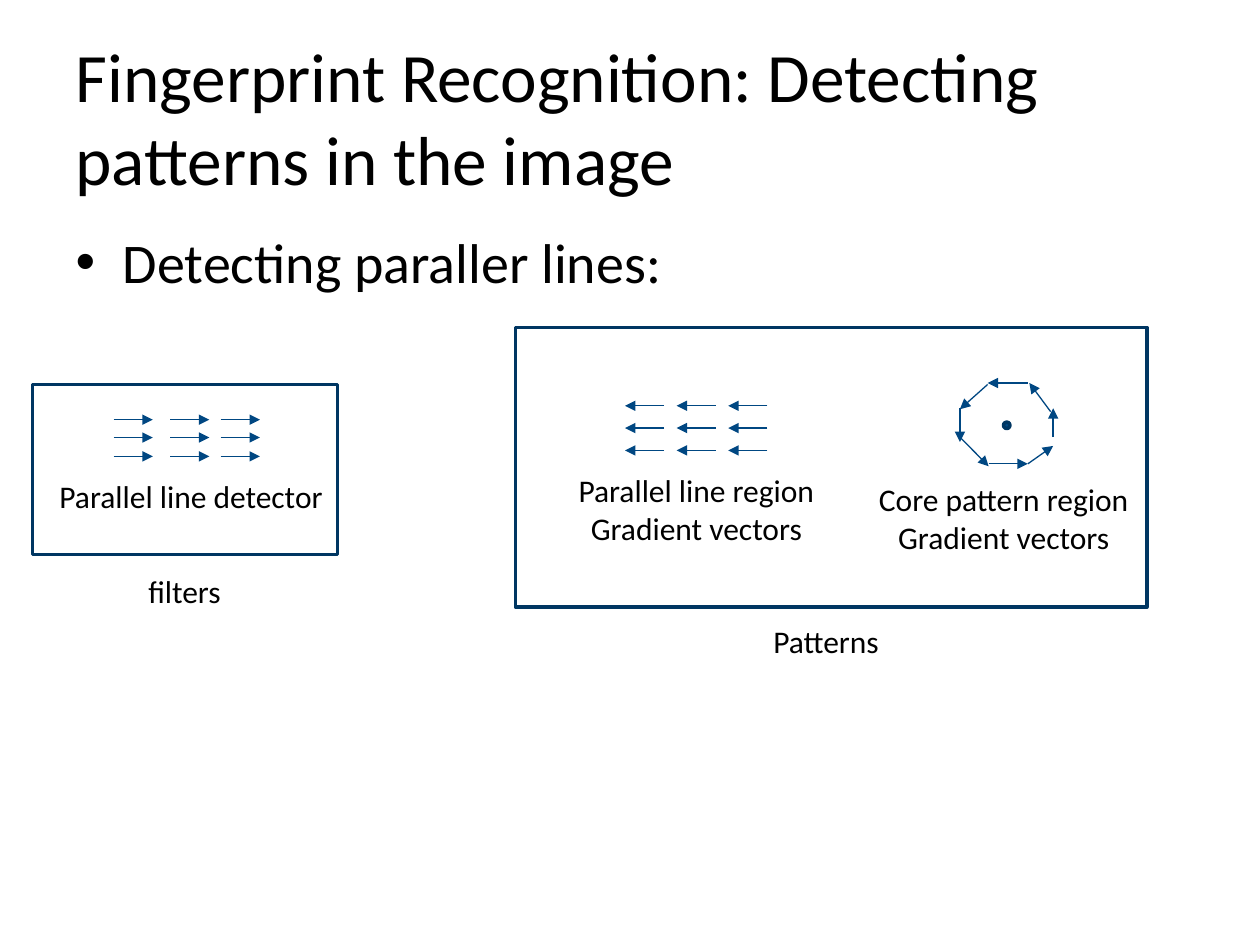
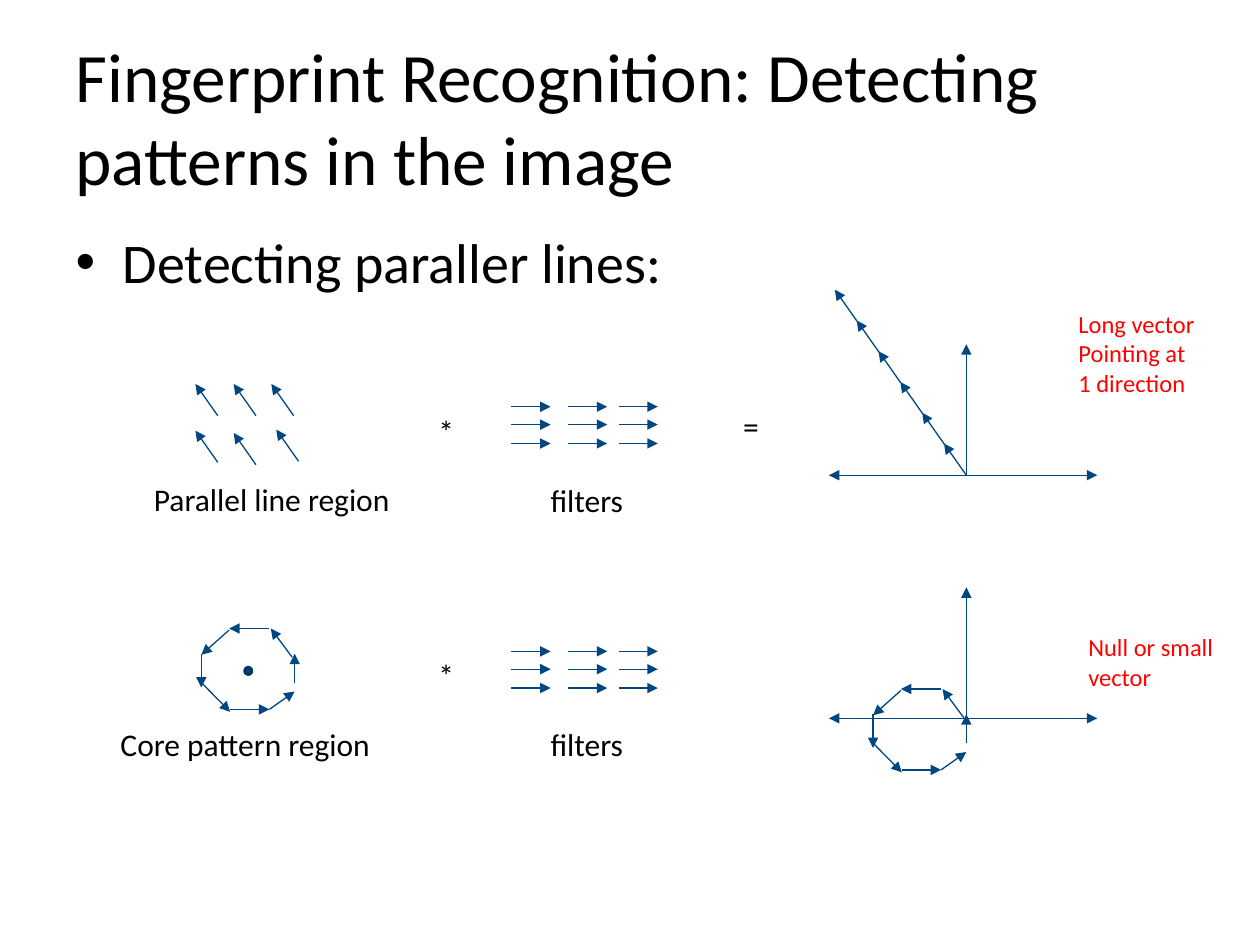
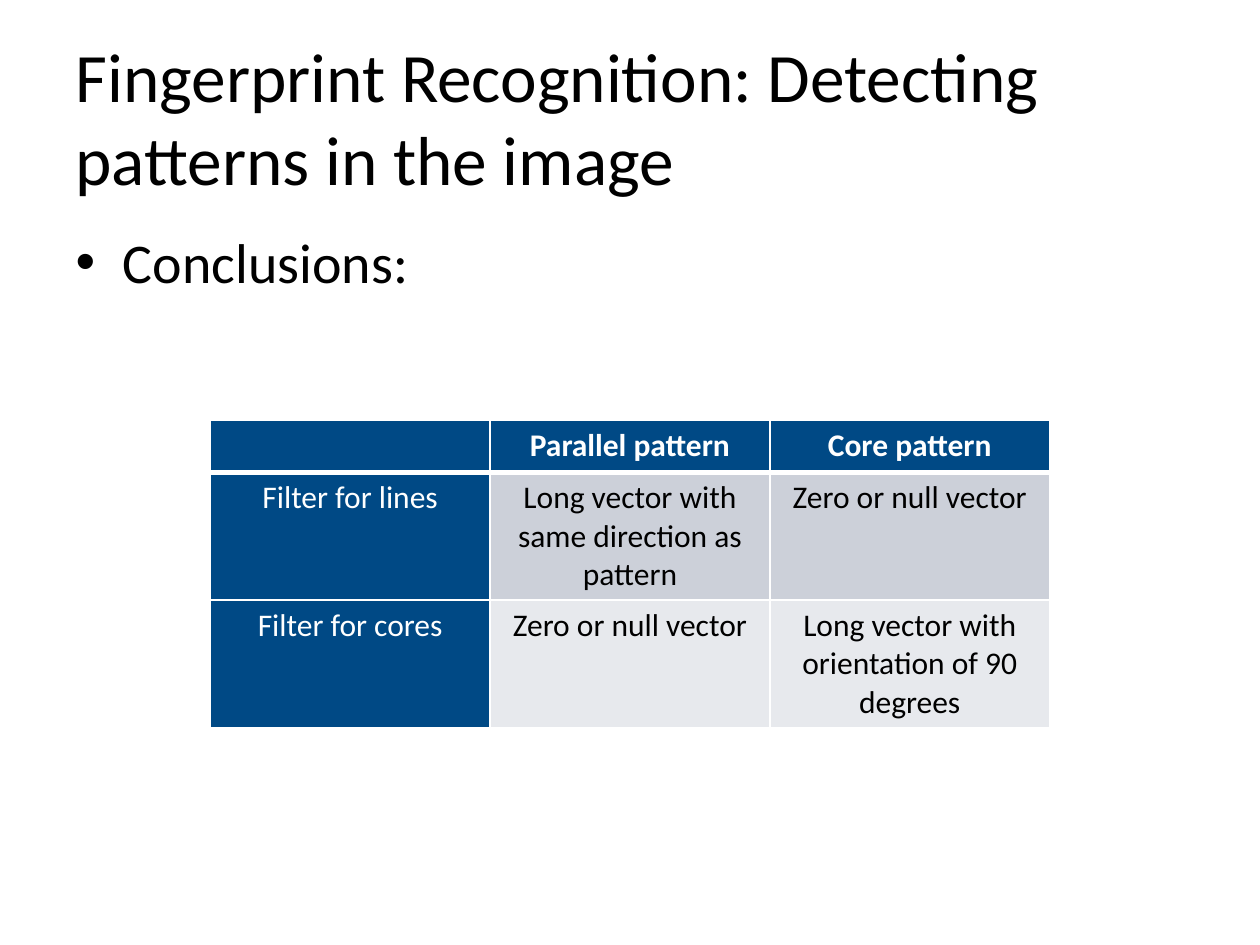
import itertools

import pptx
import pptx.dml.color
import pptx.enum.shapes
import pptx.enum.text
import pptx.oxml
import pptx.oxml.ns
import pptx.util
from lxml import etree

Cm = pptx.util.Cm
Pt = pptx.util.Pt
RGBColor = pptx.dml.color.RGBColor
MSO_SHAPE = pptx.enum.shapes.MSO_SHAPE
PP_ALIGN = pptx.enum.text.PP_ALIGN
MSO_AUTO_SIZE = pptx.enum.text.MSO_AUTO_SIZE
qn = pptx.oxml.ns.qn

BLACK = RGBColor(0x00, 0x00, 0x00)
WHITE = RGBColor(0xFF, 0xFF, 0xFF)
RED = RGBColor(0xFF, 0x00, 0x00)
ARROW_BLUE = RGBColor(0x00, 0x47, 0x82)
FILL_BLUE = RGBColor(0x00, 0x49, 0x85)
FRAME_BLUE = RGBColor(0x00, 0x36, 0x62)
BAND_DARK = RGBColor(0xCC, 0xD0, 0xD9)
BAND_LIGHT = RGBColor(0xE7, 0xE9, 0xED)
FONT = "Calibri"

# All positions and lengths below are in centimetres.
TITLE = "Fingerprint Recognition: Detecting patterns in the image"
TITLE_BOX = (1.27, 0.76, 23.24, 3.18)
BODY_BOX = (1.27, 4.45, 23.24, 12.57)

ARROW_LENGTH = 0.79
FILTER_COLUMNS = (0, 1.14, 2.16)
FILTER_ROWS = (0, 0.36, 0.74)
REGION_COLUMNS = (0, 1.04, 2.08)
REGION_ROWS = (0, 0.45, 0.9)
RING = [
    ((1.37, 0), (0.56, 0)),
    ((0.58, 1.63), (1.37, 1.63)),
    ((1.37, 1.63), (1.88, 1.27)),
    ((1.88, 1.09), (1.88, 0.51)),
    ((0.56, 0.03), (0, 0.53)),
    ((1.83, 0.58), (1.4, 0)),
    ((0, 0.51), (0, 1.19)),
    ((0, 1.09), (0.58, 1.68)),
]
DOT_OFFSET, DOT_SIZE = (0.88, 0.79), 0.13

SLANT = (-0.45, -0.64)
SLANT_STARTS = [(4.39, 8.38), (5.16, 8.38), (5.92, 8.38),
                (4.39, 9.32), (5.16, 9.37), (6.02, 9.3)]
CHAIN_STEP, CHAIN_COUNT = (-0.44, -0.62), 6
AXIS_X, AXIS_LEFT, AXIS_RIGHT, AXIS_HEIGHT = 19.48, 16.71, 22.12, 2.64

FRAMES = [(10.39, 6.6, 12.73, 5.64), (0.66, 7.75, 6.15, 3.43)]
FRAME_LABELS = [
    (["Parallel line region", "Gradient vectors"], (11.4, 9.37, 5.28, 1.8), PP_ALIGN.CENTER),
    (["Core pattern region", "Gradient vectors"], (17.35, 9.55, 5.77, 1.8), PP_ALIGN.CENTER),
    (["Parallel line detector"], (0.91, 9.5, 5.89, 1.02), PP_ALIGN.CENTER),
    (["Patterns"], (15.34, 12.42, 2.67, 1.02), PP_ALIGN.LEFT),
    (["filters"], (2.74, 11.4, 1.98, 1.02), PP_ALIGN.LEFT),
]
EQUATION_LABELS = [
    (["Parallel line region"], (2.84, 9.55, 5.28, 1.02), PP_ALIGN.CENTER),
    (["*"], (8.59, 8.18, 0.79, 1.02), PP_ALIGN.LEFT),
    (["filters"], (10.85, 9.58, 1.98, 1.02), PP_ALIGN.LEFT),
    (["="], (14.73, 8.08, 0.89, 1.02), PP_ALIGN.LEFT),
    (["Core pattern region"], (2.06, 14.5, 5.77, 1.02), PP_ALIGN.CENTER),
    (["*"], (8.59, 13.11, 0.79, 1.02), PP_ALIGN.LEFT),
    (["filters"], (10.85, 14.5, 1.98, 1.02), PP_ALIGN.LEFT),
]
RESULT_LABELS = [
    (["Long vector", "Pointing at", "1 direction"], (21.49, 6.1, 2.95, 2.06)),
    (["Null or small", "vector"], (21.69, 12.62, 3.12, 1.45)),
]
CONCLUSIONS = [
    ["", "Parallel pattern", "Core pattern"],
    ["Filter for lines", "Long vector with same direction as pattern", "Zero or null vector"],
    ["Filter for cores", "Zero or null vector", "Long vector with orientation of 90 degrees"],
]
TABLE_LEFT, TABLE_TOP, COLUMN_WIDTH = 4.24, 8.48, 5.64
ROW_HEIGHTS = (1.04, 2.57, 2.57)


def write(tf, lines, size=18, color=BLACK, bold=False, align=PP_ALIGN.LEFT):
    for i, line in enumerate(lines):
        p = tf.paragraphs[0] if i == 0 else tf.add_paragraph()
        p.alignment = align
        r = p.add_run()
        r.text = line
        r.font.name, r.font.size, r.font.bold = FONT, Pt(size), bold
        r.font.color.rgb = color


def add_slide(prs, bullet):
    slide = prs.slides.add_slide(prs.slide_layouts[1])
    title, body = slide.placeholders
    for sp, box, text, size in ((title, TITLE_BOX, TITLE, 39.6), (body, BODY_BOX, bullet, 32)):
        sp.left, sp.top, sp.width, sp.height = map(Cm, box)
        write(sp.text_frame, [text], size=size)
        sp.text_frame.auto_size = MSO_AUTO_SIZE.NONE
    return slide


def add_label(slide, lines, box, **fmt):
    tf = slide.shapes.add_textbox(*map(Cm, box)).text_frame
    tf.word_wrap = False
    tf.auto_size = MSO_AUTO_SIZE.SHAPE_TO_FIT_TEXT
    write(tf, lines, **fmt)


def add_arrow(slide, start, end, ends=("tailEnd",)):
    line = slide.shapes.add_connector(
        pptx.enum.shapes.MSO_CONNECTOR.STRAIGHT, *map(Cm, (*start, *end)))
    line.line.color.rgb = ARROW_BLUE
    line.line.width = Pt(0.75)
    ln = line.line._get_or_add_ln()
    for tag in ends:
        etree.SubElement(ln, qn(f"a:{tag}"), type="triangle")
    etree.SubElement(line._element.spPr, qn("a:effectLst"))


def shift(point, offset):
    return point[0] + offset[0], point[1] + offset[1]


def add_arrows(slide, starts, vector):
    for start in starts:
        add_arrow(slide, start, shift(start, vector))


def add_grid(slide, origin, columns, rows, vector):
    add_arrows(slide, [shift(origin, cell) for cell in itertools.product(columns, rows)], vector)


def add_filter(slide, origin):
    add_grid(slide, origin, FILTER_COLUMNS, FILTER_ROWS, (ARROW_LENGTH, 0))


def add_outlined(slide, kind, box, fill=None):
    sp = slide.shapes.add_shape(kind, *map(Cm, box))
    sp.shadow.inherit = False
    if fill is None:
        sp.fill.background()
    else:
        sp.fill.solid()
        sp.fill.fore_color.rgb = fill
    sp.line.color.rgb = FRAME_BLUE
    sp.line.width = Pt(2)


def add_ring(slide, origin, dot=True):
    for start, end in RING:
        add_arrow(slide, shift(origin, start), shift(origin, end))
    if dot:
        box = (*shift(origin, DOT_OFFSET), DOT_SIZE, DOT_SIZE)
        add_outlined(slide, MSO_SHAPE.OVAL, box, FILL_BLUE)


def add_axes(slide, y):
    add_arrow(slide, (AXIS_X, y), (AXIS_X, y - AXIS_HEIGHT))
    add_arrow(slide, (AXIS_LEFT, y), (AXIS_RIGHT, y), ends=("headEnd", "tailEnd"))


def set_borders(cell, **widths):
    """Draw white cell borders; widths maps lnL, lnR, lnT, lnB to points."""
    tc_pr = cell._tc.get_or_add_tcPr()
    for i, (tag, width) in enumerate(widths.items()):
        ln = etree.Element(qn(f"a:{tag}"), w=str(Pt(width)))
        fill = etree.SubElement(ln, qn("a:solidFill"))
        etree.SubElement(fill, qn("a:srgbClr"), val=str(WHITE))
        tc_pr.insert(i, ln)


def add_conclusions(slide):
    n_rows, n_cols = len(CONCLUSIONS), len(CONCLUSIONS[0])
    table = slide.shapes.add_table(
        n_rows, n_cols, Cm(TABLE_LEFT), Cm(TABLE_TOP),
        Cm(COLUMN_WIDTH * n_cols), Cm(sum(ROW_HEIGHTS))).table
    for column in table.columns:
        column.width = Cm(COLUMN_WIDTH)
    for i, (row, height) in enumerate(zip(CONCLUSIONS, ROW_HEIGHTS)):
        table.rows[i].height = Cm(height)
        for j, text in enumerate(row):
            cell = table.cell(i, j)
            heading = i == 0 or j == 0
            cell.fill.solid()
            cell.fill.fore_color.rgb = FILL_BLUE if heading else (BAND_LIGHT, BAND_DARK)[i % 2]
            set_borders(cell, lnL=1, lnR=1, lnT=3 if i == 1 else 1, lnB=3 if i == 0 else 1)
            if text:
                write(cell.text_frame, [text], color=WHITE if heading else BLACK,
                      bold=i == 0, align=PP_ALIGN.CENTER)


def build_patterns(prs):
    slide = add_slide(prs, "Detecting paraller lines:")
    add_grid(slide, (13.39, 8.18), REGION_COLUMNS, REGION_ROWS, (-ARROW_LENGTH, 0))
    add_ring(slide, (19.35, 7.72))
    add_filter(slide, (2.29, 8.46))
    for box in FRAMES:
        add_outlined(slide, MSO_SHAPE.RECTANGLE, box)
    for lines, box, align in FRAME_LABELS:
        add_label(slide, lines, box, align=align)


def build_equations(prs):
    slide = add_slide(prs, "Detecting paraller lines:")
    add_arrows(slide, SLANT_STARTS, SLANT)
    add_ring(slide, (4.06, 12.67))
    for y in (8.2, 13.13):
        add_filter(slide, (10.31, y))
    for y in (9.58, 14.48):
        add_axes(slide, y)
    dx, dy = CHAIN_STEP
    add_arrows(slide, [(AXIS_X + i * dx, 9.58 + i * dy) for i in range(CHAIN_COUNT)], SLANT)
    add_ring(slide, (17.6, 13.89), dot=False)
    for lines, box, align in EQUATION_LABELS:
        add_label(slide, lines, box, align=align)
    for lines, box in RESULT_LABELS:
        add_label(slide, lines, box, size=14, color=RED)


def main():
    prs = pptx.Presentation()
    prs.slide_width, prs.slide_height = Cm(25.4), Cm(19.05)
    build_patterns(prs)
    build_equations(prs)
    add_conclusions(add_slide(prs, "Conclusions:"))
    prs.save("out.pptx")


if __name__ == "__main__":
    main()
